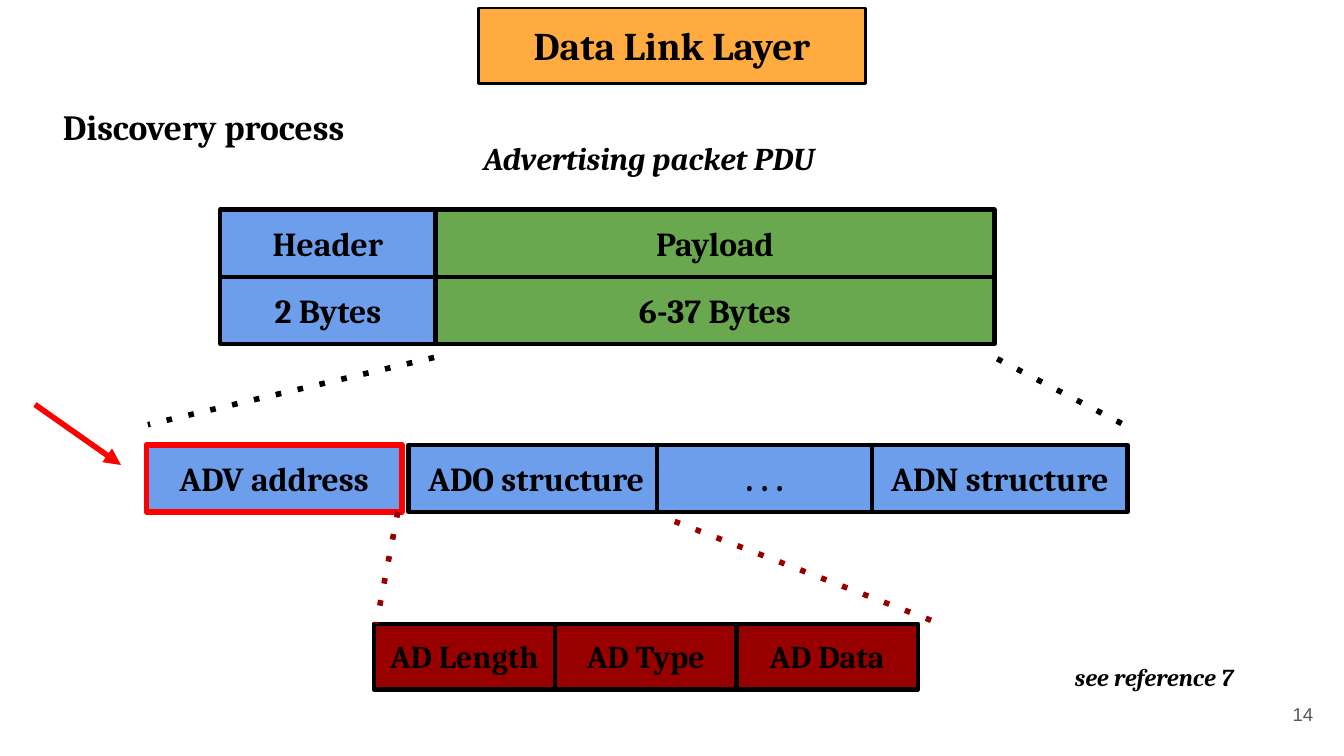
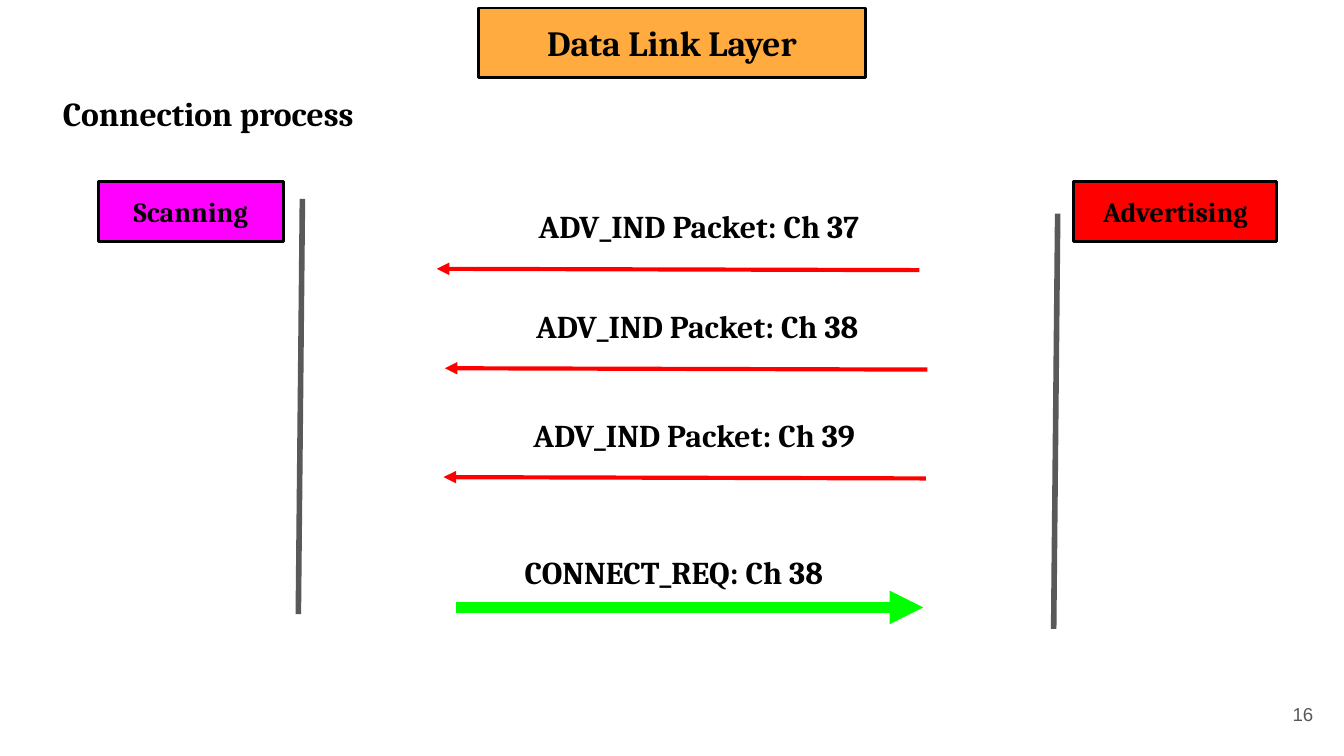
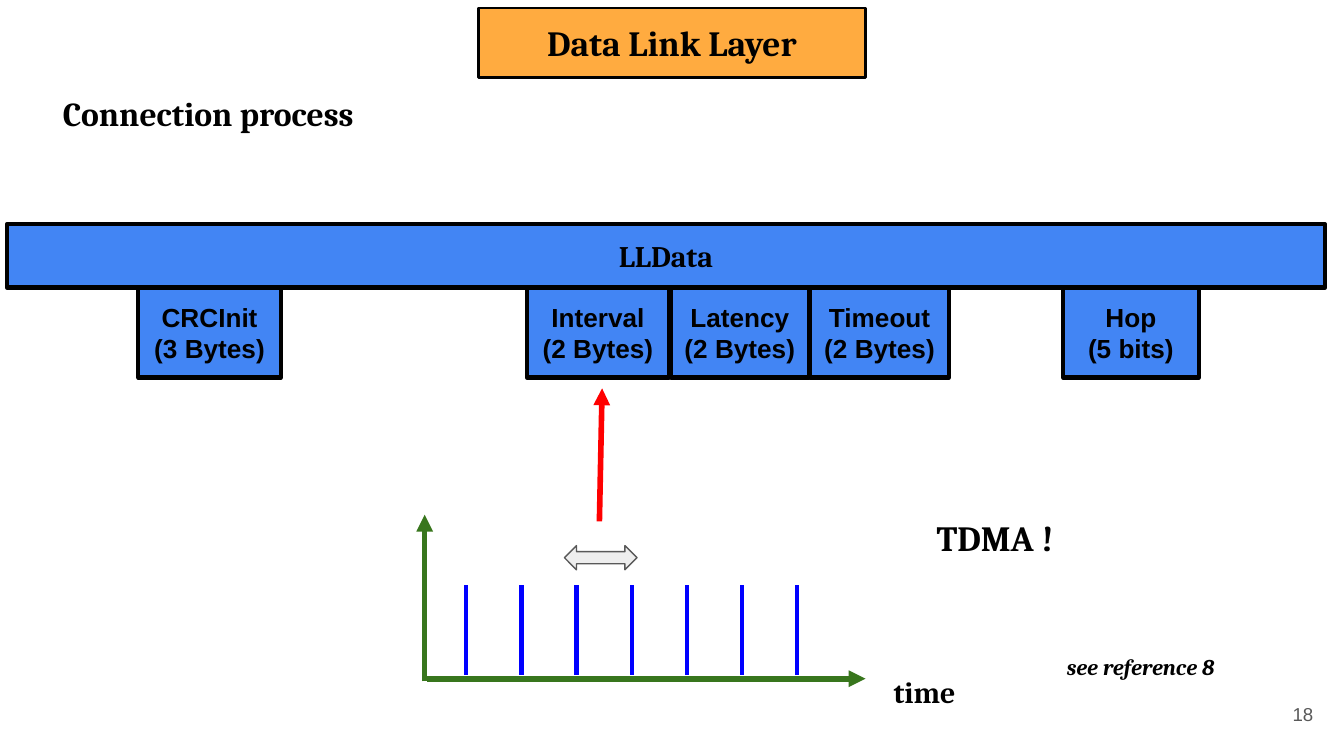
from lxml import etree
from pptx import Presentation
from pptx.dml.color import RGBColor
from pptx.enum.shapes import MSO_CONNECTOR, MSO_SHAPE
from pptx.enum.text import MSO_ANCHOR, MSO_AUTO_SIZE, PP_ALIGN
from pptx.oxml.ns import qn
from pptx.util import Inches, Pt

LEFT, CENTER, RIGHT = PP_ALIGN.LEFT, PP_ALIGN.CENTER, PP_ALIGN.RIGHT
TOP, MIDDLE = MSO_ANCHOR.TOP, MSO_ANCHOR.MIDDLE
GROW, FIXED = MSO_AUTO_SIZE.SHAPE_TO_FIT_TEXT, MSO_AUTO_SIZE.NONE
RECT, DOUBLE_ARROW = MSO_SHAPE.RECTANGLE, MSO_SHAPE.LEFT_RIGHT_ARROW
STRAIGHT = MSO_CONNECTOR.STRAIGHT
TITLE_ONLY = 5
SERIF, SANS = "Cambria", "Arial"
COLORS = {
    "black": "000000",
    "title": "FFAB40",
    "sky": "6D9EEB",
    "leaf": "6AA84F",
    "maroon": "980000",
    "red": "FF0000",
    "gray": "595959",
    "magenta": "FF00FF",
    "lime": "00FF00",
    "blue": "4285F4",
    "axis": "38761D",
    "pulse": "0000FF",
    "light": "EEEEEE",
}


def rgb(name):
    """Return the named colour."""
    return RGBColor.from_string(COLORS[name])


def write(sp, text, size, font=SERIF, color="black", bold=True, italic=False,
          align=LEFT, anchor=TOP, fit=GROW):
    """Fill a shape with formatted text, one paragraph per line."""
    tf = sp.text_frame
    tf.word_wrap = True
    tf.auto_size = fit
    tf.vertical_anchor = anchor
    tf.margin_left = tf.margin_right = Inches(0.1)
    tf.margin_top = tf.margin_bottom = Inches(0.1)
    for i, line in enumerate(text.split("\n")):
        p = tf.add_paragraph() if i else tf.paragraphs[0]
        p.alignment = align
        r = p.add_run()
        r.text = line
        r.font.name = font
        r.font.size = Pt(size)
        r.font.bold = bold
        r.font.italic = italic
        r.font.color.rgb = rgb(color)


def paint(sp, fill, line, width):
    """Give a shape a solid fill and an outline."""
    sp.fill.solid()
    sp.fill.fore_color.rgb = rgb(fill)
    sp.line.color.rgb = rgb(line)
    sp.line.width = Pt(width)


def add_label(s, text, x, y, w, h, size, **style):
    """Add a text box."""
    sp = s.shapes.add_textbox(Inches(x), Inches(y), Inches(w), Inches(h))
    write(sp, text, size, **style)


def add_box(s, text, x, y, w, h, fill, size=18, line="black", width=2.25,
            font=SERIF, shape=RECT):
    """Add an outlined shape with centred text."""
    sp = s.shapes.add_shape(shape, Inches(x), Inches(y), Inches(w), Inches(h))
    sp.shadow.inherit = False
    paint(sp, fill, line, width)
    if text:
        write(sp, text, size, font=font, align=CENTER)


def add_line(s, start, end, color, width=3, dotted=False, arrow=False):
    """Add a straight line, optionally dotted or with an arrowhead."""
    points = [Inches(v) for v in (*start, *end)]
    c = s.shapes.add_connector(STRAIGHT, *points)
    c.line.color.rgb = rgb(color)
    c.line.width = Pt(width)
    ln = c.line._get_or_add_ln()
    if dotted:
        etree.SubElement(ln, qn("a:prstDash"), val="dot")
    if arrow:
        etree.SubElement(ln, qn("a:tailEnd"), type="triangle")
    etree.SubElement(c._element.spPr, qn("a:effectLst"))


def add_slide(prs, subtitle, number, title_size=19, title_h=0.52,
              sub_y=0.59, sub_size=18):
    """Add a slide with the title band, subtitle and page number."""
    s = prs.slides.add_slide(prs.slide_layouts[TITLE_ONLY])
    title = s.shapes.title
    title.left, title.top = Inches(3.56), Inches(0.06)
    title.width, title.height = Inches(2.88), Inches(title_h)
    paint(title, "title", "black", 1.5)
    write(title, "Data Link Layer", title_size, align=CENTER, fit=FIXED)
    add_label(s, subtitle, 0.37, sub_y, 2.67, 0.5, sub_size)
    add_label(s, str(number), 9.27, 5.1, 0.6, 0.43, 10, font=SANS,
              color="gray", bold=False, align=RIGHT, anchor=MIDDLE, fit=FIXED)
    return s


def discovery_slide(prs):
    """Build the advertising packet breakdown."""
    s = add_slide(prs, "Discovery process", 14, 21, 0.56, 0.68, 19)
    add_label(s, "Advertising packet PDU", 3.5, 0.93, 3, 0.49, 17, italic=True)

    for row, (header, payload) in enumerate([("Header", "Payload"),
                                             ("2 Bytes", "6-37 Bytes")]):
        y = 1.56 + 0.5 * row
        add_box(s, header, 1.64, y, 1.6, 0.5, "sky")
        add_box(s, payload, 3.24, y, 4.16, 0.5, "leaf")

    add_box(s, "ADV address", 1.09, 3.31, 1.9, 0.5, "sky", line="red", width=3)
    for text, x, w in [("ADO structure", 3.04, 1.9), (". . .", 4.89, 1.6),
                       ("ADN structure", 6.49, 1.9)]:
        add_box(s, text, x, 3.31, w, 0.5, "sky")
    add_line(s, (0.26, 3.01), (0.9, 3.46), "red", arrow=True)

    for i, text in enumerate(["AD Length", "AD Type", "AD Data"]):
        add_box(s, text, 2.78 + 1.35 * i, 4.64, 1.35, 0.49, "maroon", 17)

    for start, end, color in [((3.23, 2.66), (1.1, 3.16), "black"),
                              ((7.42, 2.67), (8.42, 3.19), "black"),
                              ((2.96, 3.81), (2.8, 4.64), "maroon"),
                              ((5.02, 3.88), (6.99, 4.64), "maroon")]:
        add_line(s, start, end, color, dotted=True)
    add_label(s, "see reference 7", 7.9, 4.83, 1.65, 0.42, 13, italic=True)


def handshake_slide(prs):
    """Build the message exchange between scanner and advertiser."""
    s = add_slide(prs, "Connection process", 16)
    for x, y in [(2.25, 1.48), (7.87, 1.59)]:
        add_line(s, (x, y), (x - 0.03, y + 3.09), "gray")
    add_box(s, "Scanning", 0.73, 1.35, 1.38, 0.45, "magenta", 15, width=1.5)
    add_box(s, "Advertising", 7.99, 1.35, 1.51, 0.45, "red", 15, width=1.5)

    for channel, text_x, arrow_x, y in [(37, 3.91, 3.25, 1.44),
                                        (38, 3.89, 3.31, 2.18),
                                        (39, 3.87, 3.3, 2.99)]:
        add_label(s, f"ADV_IND Packet: Ch {channel}", text_x, y, 2.88, 0.49, 17)
        add_line(s, (arrow_x + 3.59, y + 0.57), (arrow_x, y + 0.56), "red",
                 2.25, arrow=True)

    add_line(s, (3.39, 4.52), (6.87, 4.52), "lime", 6, arrow=True)
    add_label(s, "CONNECT_REQ: Ch 38", 3.68, 4.01, 2.67, 0.49, 17, align=CENTER)


def timing_slide(prs):
    """Build the LLData fields and the connection interval chart."""
    s = add_slide(prs, "Connection process", 18)
    add_box(s, "LLData", 0.05, 1.67, 9.81, 0.47, "blue", 16)
    for name, length, x, w in [("Hop", "5 bits", 7.91, 1.01),
                               ("CRCInit", "3 Bytes", 1.03, 1.06),
                               ("Interval", "2 Bytes", 3.92, 1.06),
                               ("Latency", "2 Bytes", 4.99, 1.03),
                               ("Timeout", "2 Bytes", 6.03, 1.03)]:
        add_box(s, f"{name}\n({length})", x, 2.14, w, 0.67, "blue", 14,
                font=SANS)

    add_line(s, (4.46, 3.88), (4.48, 2.89), "red", arrow=True)
    add_label(s, "TDMA !", 6.87, 3.74, 1.11, 0.52, 19)
    add_label(s, "time", 6.55, 4.91, 0.78, 0.47, 16)
    add_line(s, (3.16, 5.07), (3.16, 3.83), "axis", arrow=True)
    add_line(s, (3.18, 5.05), (6.44, 5.05), "axis", arrow=True)
    for i in range(7):
        x = 3.47 + 0.41 * i
        add_line(s, (x, 5.02), (x, 4.35), "pulse", 2.25)
    add_box(s, "", 4.2, 4.06, 0.54, 0.18, "light", line="gray", width=0.75,
            shape=DOUBLE_ARROW)
    add_label(s, "see reference 8", 7.84, 4.76, 1.51, 0.4, 12, italic=True)


def main():
    """Build and save the presentation."""
    prs = Presentation()
    prs.slide_width = Inches(10)
    prs.slide_height = Inches(10 * 9 / 16)
    discovery_slide(prs)
    handshake_slide(prs)
    timing_slide(prs)
    prs.save("out.pptx")


if __name__ == "__main__":
    main()
